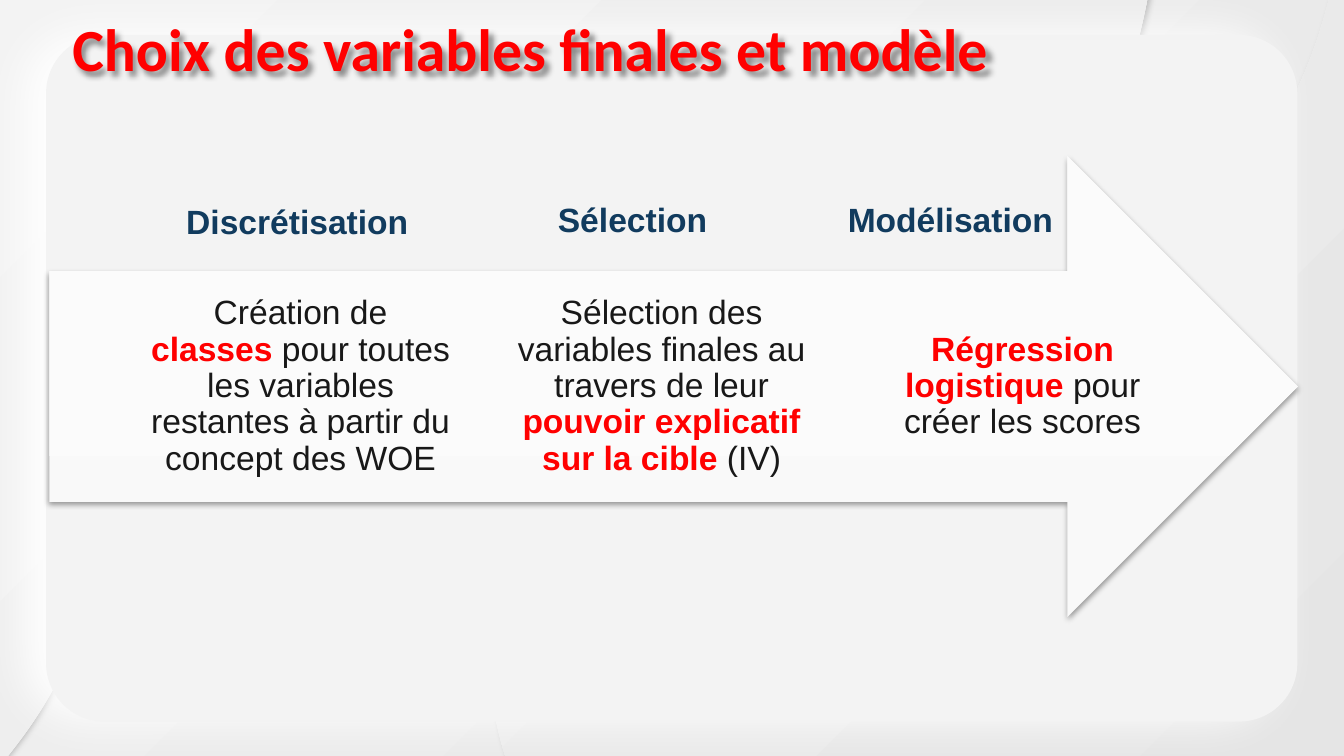
from copy import deepcopy
from dataclasses import dataclass
from lxml import etree
from pptx import Presentation
from pptx.dml.color import RGBColor
from pptx.enum.shapes import MSO_SHAPE
from pptx.enum.text import MSO_ANCHOR, MSO_AUTO_SIZE, PP_ALIGN
from pptx.oxml.ns import qn
from pptx.util import Pt

ARROW, ROUND = MSO_SHAPE.RIGHT_ARROW, MSO_SHAPE.ROUNDED_RECTANGLE
CENTER, MIDDLE = PP_ALIGN.CENTER, MSO_ANCHOR.MIDDLE
GROW = MSO_AUTO_SIZE.SHAPE_TO_FIT_TEXT

RED, NAVY, INK = "FF0000", "113B5E", "181818"
PALE, GREY = "F3F3F3", "E5E5E5"


@dataclass
class Box:
    x: float
    y: float
    w: float
    h: float


@dataclass
class Run:
    text: str
    tone: str = INK
    bold: bool = False
    size: float = 18
    face: str = "Arial"


@dataclass
class Glow:
    """Outer shadow: tone, opacity in percent, blur and offset in points, angle."""
    tone: str
    alpha: int
    blur: float
    dist: float
    angle: int


@dataclass
class Step:
    label: str
    left: float
    top: float
    width: float
    runs: list[Run]


def color(code: str) -> RGBColor:
    return RGBColor.from_string(code)


def blend(fill, first: str, last: str, angle: int) -> None:
    """Fill with a two-tone gradient; the angle turns clockwise."""
    fill.gradient()
    fill.gradient_angle = 360 - angle
    for stop, tone in zip(fill.gradient_stops, (first, last)):
        stop.color.rgb = color(tone)


def add_stop(shape, tone: str, spot: int) -> None:
    """Put a middle stop, at a percentage, into a two-tone gradient."""
    first = next(shape.element.spPr.iter(qn("a:gs")))
    stop = deepcopy(first)
    stop.set("pos", str(spot * 1000))
    stop.find(qn("a:srgbClr")).set("val", tone)
    first.addnext(stop)


def cast(shape, glow: Glow) -> None:
    shape.shadow.inherit = False
    effects = shape.element.spPr.find(qn("a:effectLst"))
    shade = etree.SubElement(effects, qn("a:outerShdw"))
    marks = {"blurRad": Pt(glow.blur), "dist": Pt(glow.dist),
             "dir": glow.angle * 60000, "algn": "ctr", "rotWithShape": 0}
    for name, value in marks.items():
        shade.set(name, str(value))
    tone = etree.SubElement(shade, qn("a:srgbClr"), val=glow.tone)
    etree.SubElement(tone, qn("a:alpha"), val=str(glow.alpha * 1000))


def finish(shape, glow: Glow) -> None:
    """Drop the outline and set the shadow."""
    shape.line.fill.background()
    cast(shape, glow)


def place(box: Box) -> tuple:
    return Pt(box.x), Pt(box.y), Pt(box.w), Pt(box.h)


def write(slide, box: Box, runs: list[Run], form: dict, para: dict):
    """Add a text box of one paragraph, with frame and paragraph formats."""
    shape = slide.shapes.add_textbox(*place(box))
    frame = shape.text_frame
    for name, value in ({"word_wrap": True} | form).items():
        setattr(frame, name, value)
    line = frame.paragraphs[0]
    for name, value in para.items():
        setattr(line, name, value)
    for item in runs:
        run = line.add_run()
        run.text = item.text
        looks = {"size": Pt(item.size), "name": item.face, "bold": item.bold}
        for name, value in looks.items():
            setattr(run.font, name, value)
        run.font.color.rgb = color(item.tone)
    return shape


def sweep(slide, start: tuple, moves: list[tuple]):
    """Closed outline; a move is a point or a curve of six numbers."""
    spots = [(Pt(m[i]), Pt(m[i + 1])) for m in moves
             for i in range(0, len(m), 2)]
    pen = slide.shapes.build_freeform(Pt(start[0]), Pt(start[1]), scale=1.0)
    pen.add_line_segments(spots, close=True)
    shape = pen.convert_to_shape()
    lines = iter(list(shape.element.spPr.iter(qn("a:lnTo"))))
    for move in moves:
        line = next(lines)
        if len(move) == 6:
            line.addprevious(bend := etree.Element(qn("a:cubicBezTo")))
            for part in (line, next(lines), next(lines)):
                bend.append(part[0])
                part.getparent().remove(part)
    return shape


WAVE = [
    (614, 147, 530, 156, 577, 94), (603, 60, 614, 11, 618.5, -24.5),
    (0, -24.5), (0, 410.5),
    (12, 395, 35, 369, 49, 317.5), (86, 183.5, 196, 178.5, 237.5, 227.5),
    (284.5, 283, 224, 423.5, 328, 469.5),
    (720, 469.5), (720, -24.5), (717, -24.5), (712, 5, 698.5, 58, 664, 94),
]

STEPS = [
    Step("Discrétisation", 92.7, 104, 162.7, [
        Run("Création de "), Run("classes", RED, True),
        Run(" pour toutes les variables restantes à partir du concept des WOE")]),
    Step("Sélection", 291.8, 103, 117.4, [
        Run("Sélection des variables finales au travers de leur "),
        Run("pouvoir explicatif sur la cible", RED, True), Run(" (IV)")]),
    Step("Modélisation", 447.1, 103, 162.7, [
        Run("Régression logistique ", RED, True),
        Run("pour créer les scores")]),
]


def main() -> None:
    deck = Presentation()
    deck.slide_width, deck.slide_height = Pt(720), Pt(405)
    slide = deck.slides.add_slide(deck.slide_layouts[6])
    blend(slide.background.fill, PALE, GREY, 45)

    wave = sweep(slide, (664, 94), WAVE)
    blend(wave.fill, PALE, GREY, 45)
    finish(wave, Glow("B7B7B7", 91, 2.2, 1.5, 0))

    panel = slide.shapes.add_shape(ROUND, *place(Box(24.7, 18.7, 670.3, 367.9)))
    panel.adjustments[0] = 0.085
    panel.fill.solid()
    panel.fill.fore_color.rgb = color(PALE)
    finish(panel, Glow("FFFFFF", 100, 24.8, 11.2, 185))

    title = write(slide, Box(31.7, 2.9, 578.2, 46.1),
                  [Run("Choix des variables finales et modèle", RED, True, 32,
                       "Calibri")], {"auto_size": GROW}, {})
    cast(title, Glow("000000", 43, 3, 3, 45))

    arrow = slide.shapes.add_shape(ARROW, *place(Box(26.4, 83.6, 668.9, 247)))
    blend(arrow.fill, "F9F9F9", "FDFDFD", 270)
    add_stop(arrow, "FBFBFB", 35)
    finish(arrow, Glow("000000", 38, 3.1, 1.6, 90))

    inset = {"vertical_anchor": MIDDLE, "margin_left": 0, "margin_right": 0,
             "margin_top": Pt(14.4), "margin_bottom": Pt(14.4)}
    for i, step in enumerate(STEPS):
        write(slide, Box(80.4 + i * 193.4, 145.6, 161.3, 123.1), step.runs,
              inset, {"alignment": CENTER, "line_spacing": 0.9})
        write(slide, Box(step.left, step.top, step.width, 28.8),
              [Run(step.label, NAVY, True)], {"auto_size": GROW}, {})

    deck.save("out.pptx")


if __name__ == "__main__":
    main()
